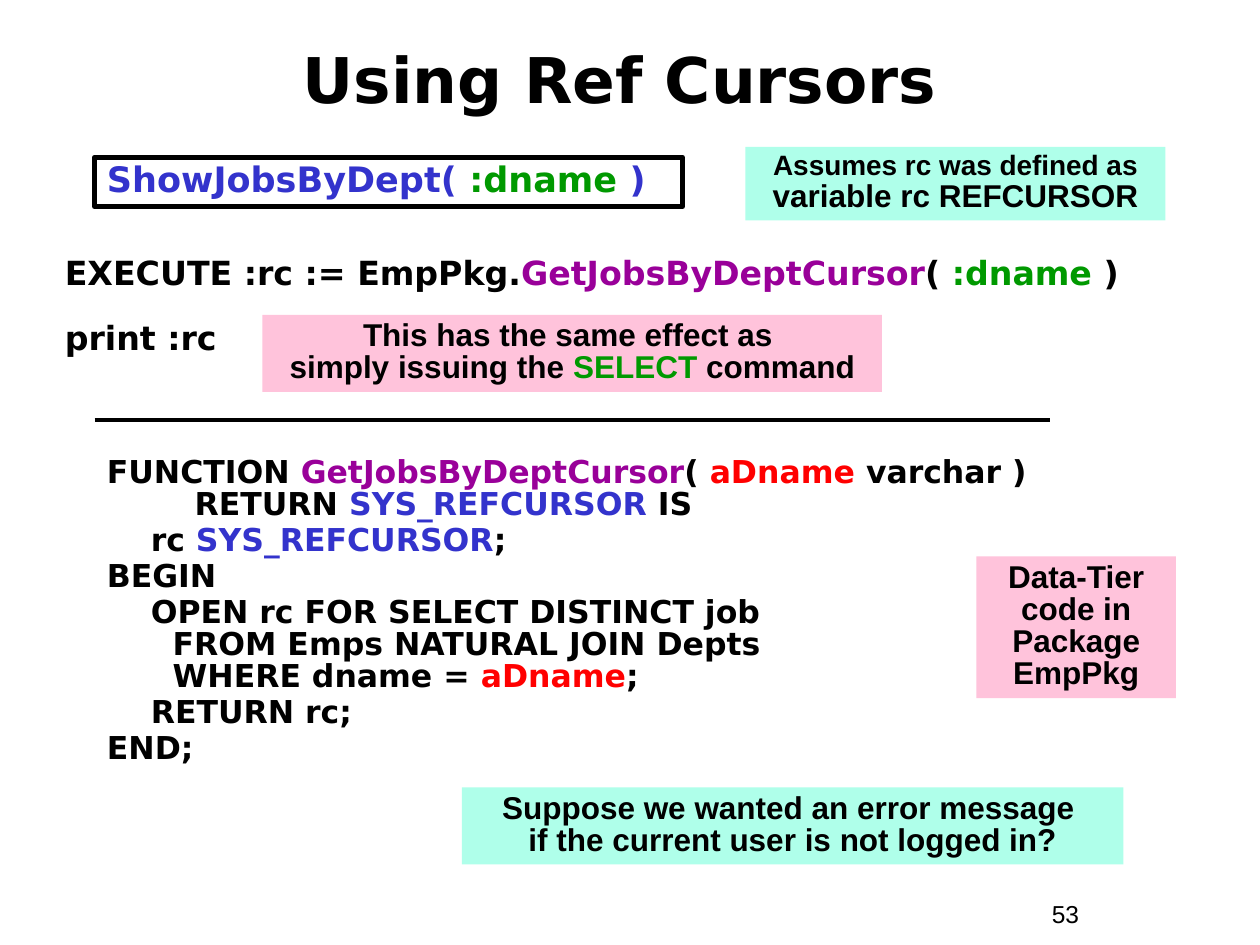
from lxml.etree import SubElement
from pptx import Presentation
from pptx.dml.color import RGBColor
from pptx.enum.shapes import MSO_CONNECTOR, MSO_SHAPE
from pptx.enum.text import MSO_ANCHOR, MSO_AUTO_SIZE, PP_ALIGN
from pptx.oxml.ns import qn
from pptx.util import Pt

BLACK = RGBColor(0x00, 0x00, 0x00)
BLUE = RGBColor(0x33, 0x33, 0xCC)
GREEN = RGBColor(0x00, 0x99, 0x00)
PURPLE = RGBColor(0x99, 0x00, 0x99)
RED = RGBColor(0xFF, 0x00, 0x00)
PINK = RGBColor(0xFF, 0xC3, 0xDB)
MINT = RGBColor(0xAF, 0xFF, 0xEA)

CODE_FONT = "DejaVu Sans"
NOTE_FONT = "Arial"

# Content: a paragraph is a list of (text, colour) runs; "\n" is a line break
TITLE = [[("Using Ref Cursors", BLACK)]]
CALL = [[("ShowJobsByDept(", BLUE), (" :dname ", GREEN), (")", BLUE)]]
COMMANDS = [
    [("EXECUTE :rc := EmpPkg.", BLACK), ("GetJobsByDeptCursor", PURPLE),
     ("( ", BLACK), (":dname ", GREEN), (")", BLACK)],
    [("print :rc", BLACK)],
]
FUNCTION = [
    [("FUNCTION ", BLACK), ("GetJobsByDeptCursor", PURPLE), ("( ", BLACK),
     ("aDname", RED), (" varchar )\n        RETURN ", BLACK),
     ("SYS_REFCURSOR", BLUE), (" IS", BLACK)],
    [("    rc ", BLACK), ("SYS_REFCURSOR", BLUE), (";", BLACK)],
    [("BEGIN", BLACK)],
    [("    OPEN rc FOR SELECT DISTINCT job\n"
      "      FROM Emps NATURAL JOIN Depts\n"
      "      WHERE dname = ", BLACK), ("aDname", RED), (";", BLACK)],
    [("    RETURN rc;", BLACK)],
    [("END;", BLACK)],
]
# Notes: (left, top, width, height), fill, paragraphs; a run may add its size
NOTES = [
    ((558, 318, 114, 81), PINK,
     [[("Data-Tier code in Package EmpPkg", BLACK)]]),
    ((150, 180, 354, 44), PINK,
     [[("This has the same effect as \nsimply issuing the ", BLACK),
       ("SELECT", GREEN), (" command", BLACK)]]),
    ((426, 84, 240, 42), MINT,
     [[("Assumes rc was defined as\n", BLACK, 16),
       ("variable rc REFCURSOR", BLACK)]]),
    ((264, 450, 378, 44), MINT,
     [[("Suppose we wanted an error message \n"
        "if the current user is not logged in?", BLACK)]]),
]
PAGE_NUMBER = [[("53", BLACK)]]


def write(frame, paragraphs, font, size, bold=True, align=PP_ALIGN.LEFT,
          spacing=0.85, gap=0, anchor=MSO_ANCHOR.TOP):
    frame.word_wrap = True
    frame.auto_size = MSO_AUTO_SIZE.NONE
    frame.vertical_anchor = anchor
    for index, runs in enumerate(paragraphs):
        paragraph = frame.add_paragraph() if index else frame.paragraphs[0]
        paragraph.alignment = align
        paragraph.line_spacing = spacing
        paragraph.space_before = Pt(gap if index else 0)
        for text, colour, *own_size in runs:
            for number, line in enumerate(text.split("\n")):
                if number:
                    paragraph.add_line_break()
                if not line:
                    continue
                run = paragraph.add_run()
                run.text = line
                run.font.name = font
                run.font.size = Pt(own_size[0] if own_size else size)
                run.font.bold = bold
                run.font.color.rgb = colour


def points(*lengths):
    return [Pt(length) for length in lengths]


def add_box(slide, place):
    box = slide.shapes.add_shape(MSO_SHAPE.RECTANGLE, *points(*place))
    box.shadow.inherit = False
    return box


def main():
    deck = Presentation()
    deck.slide_width, deck.slide_height = points(720, 540)
    slide = deck.slides.add_slide(deck.slide_layouts[5])

    # Title
    title = slide.shapes.title
    title.left, title.top, title.width, title.height = points(18, 12, 672, 66)
    write(title.text_frame, TITLE, CODE_FONT, 36, align=PP_ALIGN.CENTER,
          spacing=1.0, anchor=MSO_ANCHOR.MIDDLE)

    # Commands and the framed call
    commands = slide.shapes.add_textbox(*points(30, 144, 636, 90))
    write(commands.text_frame, COMMANDS, CODE_FONT, 19, gap=17.6)
    call = add_box(slide, (54, 90, 336, 28))
    call.fill.background()
    call.line.color.rgb = BLACK
    call.line.width = Pt(3)
    write(call.text_frame, CALL, CODE_FONT, 20)

    # Divider
    divider = slide.shapes.add_connector(
        MSO_CONNECTOR.STRAIGHT, *points(54, 240, 600, 240))
    divider.line.color.rgb = BLACK
    divider.line.width = Pt(2.25)
    SubElement(divider._element.spPr, qn("a:effectLst"))

    # Function code
    function = slide.shapes.add_textbox(*points(54, 258, 600, 184))
    write(function.text_frame, FUNCTION, CODE_FONT, 18, gap=2.2)

    # Notes
    for place, fill, paragraphs in NOTES:
        note = add_box(slide, place)
        note.fill.solid()
        note.fill.fore_color.rgb = fill
        note.line.fill.background()
        write(note.text_frame, paragraphs, NOTE_FONT, 18,
              align=PP_ALIGN.CENTER)

    # Page number
    page_number = slide.shapes.add_textbox(*points(594, 510, 66, 24))
    write(page_number.text_frame, PAGE_NUMBER, NOTE_FONT, 14, bold=False,
          spacing=1.0)

    deck.save("out.pptx")


if __name__ == "__main__":
    main()
